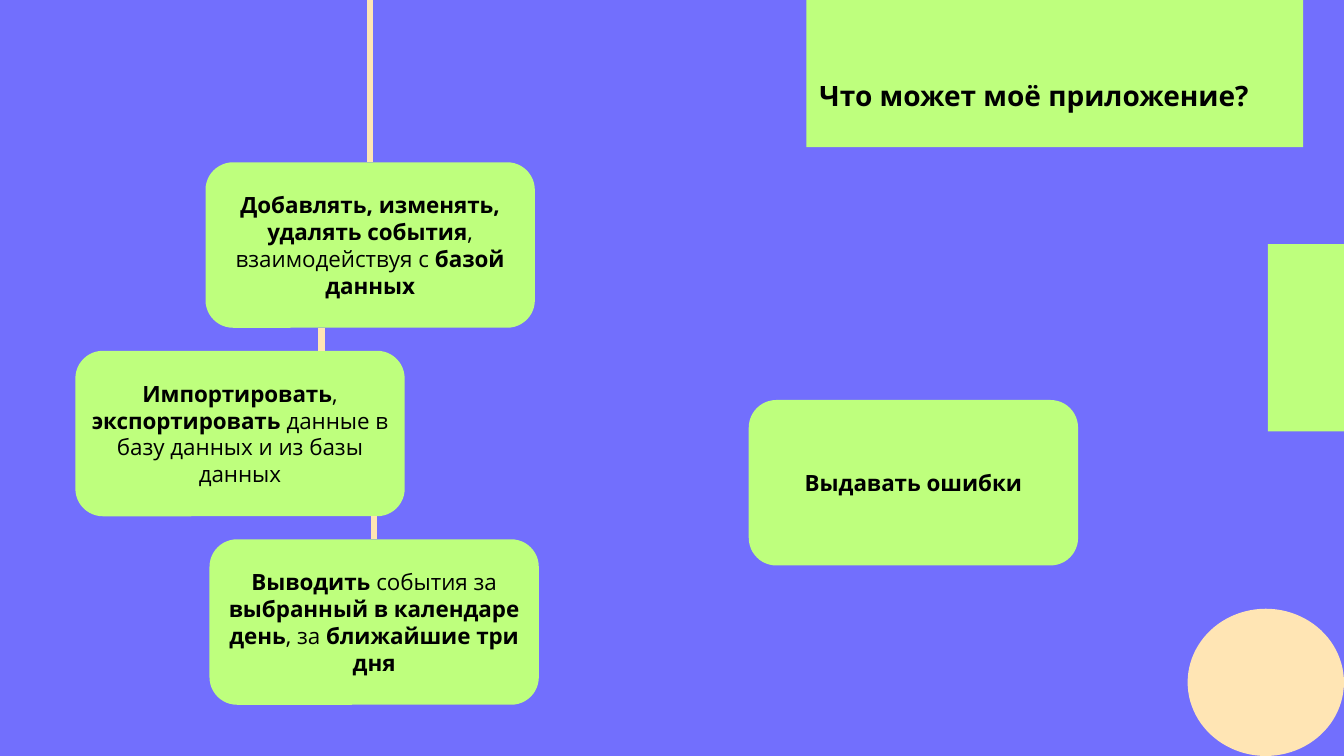
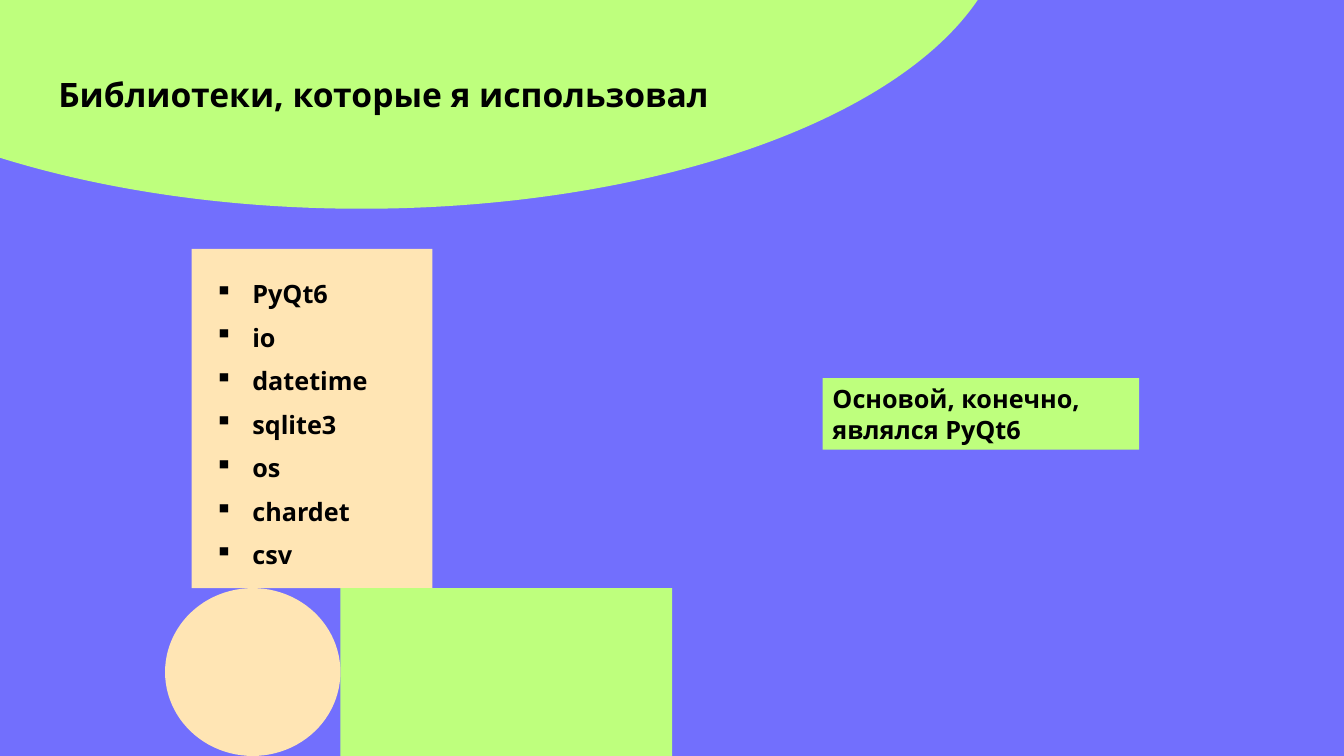
"""Build two slides about a calendar application and its libraries."""
from dataclasses import dataclass

from lxml import etree
from pptx import Presentation
from pptx.dml.color import RGBColor
from pptx.enum.shapes import MSO_CONNECTOR, MSO_SHAPE
from pptx.enum.text import MSO_ANCHOR, PP_ALIGN
from pptx.oxml.ns import qn
from pptx.util import Cm, Pt

RECTANGLE = MSO_SHAPE.RECTANGLE
ROUNDED = MSO_SHAPE.ROUNDED_RECTANGLE
OVAL = MSO_SHAPE.OVAL
STRAIGHT = MSO_CONNECTOR.STRAIGHT
LEFT, CENTER = PP_ALIGN.LEFT, PP_ALIGN.CENTER
TOP, MIDDLE = MSO_ANCHOR.TOP, MSO_ANCHOR.MIDDLE
TOP_SIDE = 0


@dataclass(frozen=True)
class Theme:
    """Colours, font and type sizes shared by the slides."""
    background: RGBColor = RGBColor.from_string("726FFD")
    green: RGBColor = RGBColor.from_string("BEFF7D")
    cream: RGBColor = RGBColor.from_string("FFE5B4")
    ink: RGBColor = RGBColor.from_string("000000")
    font: str = "Open Sans"
    card_size: int = 16
    body_size: int = 18
    line_width: float = 4.5


THEME = Theme()
CARD_WIDTH, CARD_HEIGHT = 8.3, 4.17
FIRST_CARD_TOP, CARD_STEP = 4.09, 4.75
BULLET_INDENT = 0.95

CAPABILITIES = [
    (5.18, ["Добавлять, изменять, удалять события", ", взаимодействуя с ", "базой данных"]),
    (1.9, ["Импортировать", ",", " экспортировать", " данные в базу данных и из базы данных"]),
    (5.28, ["Выводить", " события за ", "выбранный в календаре день", ", за ", "ближайшие три дня"]),
]
LIBRARIES = ["PyQt6", "io", "datetime", "sqlite3", "os", "chardet", "csv"]


def add_slide(presentation):
    """Add a blank slide with the shared background."""
    slide = presentation.slides.add_slide(presentation.slide_layouts[6])
    slide.background.fill.solid()
    slide.background.fill.fore_color.rgb = THEME.background
    return slide


def add_block(slide, kind, box, color):
    """Add a flat shape without outline; box is in centimetres."""
    shape = slide.shapes.add_shape(kind, *map(Cm, box))
    shape.shadow.inherit = False
    shape.fill.solid()
    shape.fill.fore_color.rgb = color
    shape.line.fill.background()
    return shape


def format_run(run, size, bold=True):
    """Apply the shared type style to a run."""
    run.font.name = THEME.font
    run.font.size = Pt(size)
    run.font.bold = bold
    run.font.color.rgb = THEME.ink


def set_text(shape, text, size, anchor=MIDDLE):
    """Write left-aligned bold lines into a shape."""
    frame = shape.text_frame
    frame.word_wrap = True
    frame.vertical_anchor = anchor
    frame.text = text
    for paragraph in frame.paragraphs:
        paragraph.alignment = LEFT
        for run in paragraph.runs:
            format_run(run, size)


def add_title(slide, text, box, size):
    """Add a slide title."""
    set_text(slide.shapes.add_textbox(*map(Cm, box)), text, size, TOP)


def add_card(slide, left, top, segments):
    """Add a rounded card whose segments alternate bold and regular."""
    card = add_block(slide, ROUNDED, (left, top, CARD_WIDTH, CARD_HEIGHT), THEME.green)
    frame = card.text_frame
    frame.word_wrap = True
    frame.vertical_anchor = MIDDLE
    frame.margin_left = frame.margin_right = Cm(0.05)
    paragraph = frame.paragraphs[0]
    paragraph.alignment = CENTER
    for index, segment in enumerate(segments):
        run = paragraph.add_run()
        run.text = segment
        format_run(run, THEME.card_size, bold=index % 2 == 0)
    return card


def add_link(slide, x, start, card, joined=True):
    """Draw a vertical line down to the top of a card."""
    link = slide.shapes.add_connector(STRAIGHT, x, start, x, card.top)
    if joined:
        link.end_connect(card, TOP_SIDE)
    link.line.color.rgb = THEME.cream
    link.line.width = Pt(THEME.line_width)
    etree.SubElement(link.element.spPr, qn("a:effectLst"))


def add_bullets(paragraph):
    """Give a paragraph a square bullet, hanging indent and spacing."""
    paragraph.line_spacing = 1.07
    paragraph.space_after = Pt(8)
    properties = paragraph._p.get_or_add_pPr()
    properties.set("marL", str(Cm(BULLET_INDENT)))
    properties.set("indent", str(-Cm(BULLET_INDENT)))
    etree.SubElement(properties, qn("a:buChar"), char="▪")


def add_list_panel(slide, items, box):
    """Add a cream panel with a bulleted list."""
    panel = add_block(slide, RECTANGLE, box, THEME.cream)
    set_text(panel, "\n".join(items), THEME.body_size, TOP)
    panel.text_frame.margin_left = Cm(0.58)
    panel.text_frame.margin_top = Cm(0.69)
    for paragraph in panel.text_frame.paragraphs:
        add_bullets(paragraph)


def build_capabilities(presentation):
    """Build the slide on what the application can do."""
    slide = add_slide(presentation)
    add_block(slide, RECTANGLE, (20.32, 0, 12.52, 3.71), THEME.green)
    add_title(slide, "Что может моё приложение?", (20.4, 1.85, 12.4, 1.12), 20)
    first, second, third = [
        add_card(slide, left, FIRST_CARD_TOP + index * CARD_STEP, segments)
        for index, (left, segments) in enumerate(CAPABILITIES)
    ]
    add_link(slide, first.left + first.width // 2, 0, first)
    add_link(slide, Cm(8.1), first.top + first.height, second, joined=False)
    add_link(slide, third.left + third.width // 2, second.top + second.height, third)
    add_card(slide, 18.87, 10.08, ["Выдавать ошибки"])
    add_block(slide, RECTANGLE, (31.95, 6.15, 1.92, 4.72), THEME.green)
    add_block(slide, OVAL, (29.93, 15.34, 3.94, 3.71), THEME.cream)


def build_libraries(presentation):
    """Build the slide on the libraries used."""
    slide = add_slide(presentation)
    add_block(slide, OVAL, (-7.16, -9.73, 32.54, 14.99), THEME.green)
    add_title(slide, "Библиотеки, которые я использовал", (1.22, 1.75, 18.7, 1.27), 24)
    add_list_panel(slide, LIBRARIES, (4.83, 6.27, 6.07, 8.55))
    add_block(slide, RECTANGLE, (8.58, 14.82, 8.36, 4.23), THEME.green)
    add_block(slide, OVAL, (4.16, 14.82, 4.42, 4.23), THEME.cream)
    callout = add_block(slide, RECTANGLE, (20.73, 9.53, 7.98, 1.8), THEME.green)
    set_text(callout, "Основой, конечно, являлся PyQt6", THEME.body_size)


def main():
    """Create and save the presentation."""
    presentation = Presentation()
    presentation.slide_width = Cm(33.87)
    presentation.slide_height = Cm(19.05)
    build_capabilities(presentation)
    build_libraries(presentation)
    presentation.save("out.pptx")


if __name__ == "__main__":
    main()
